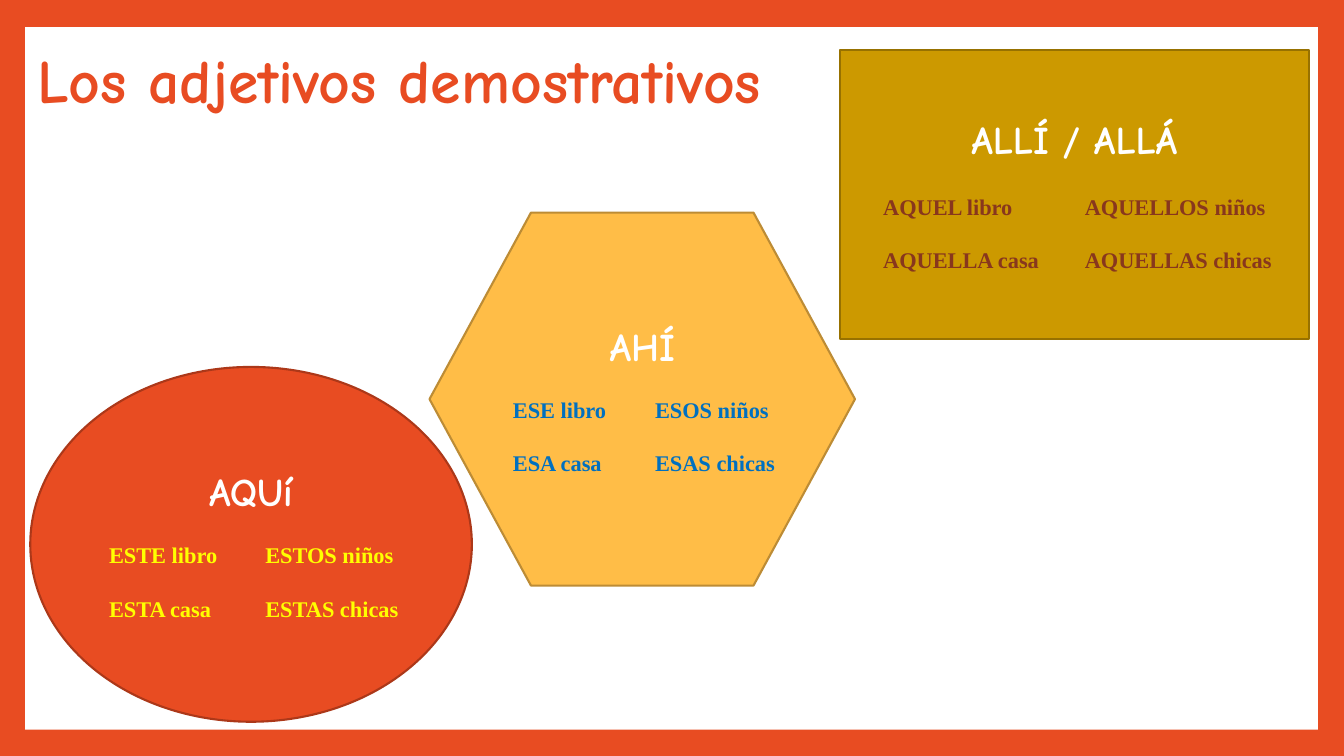
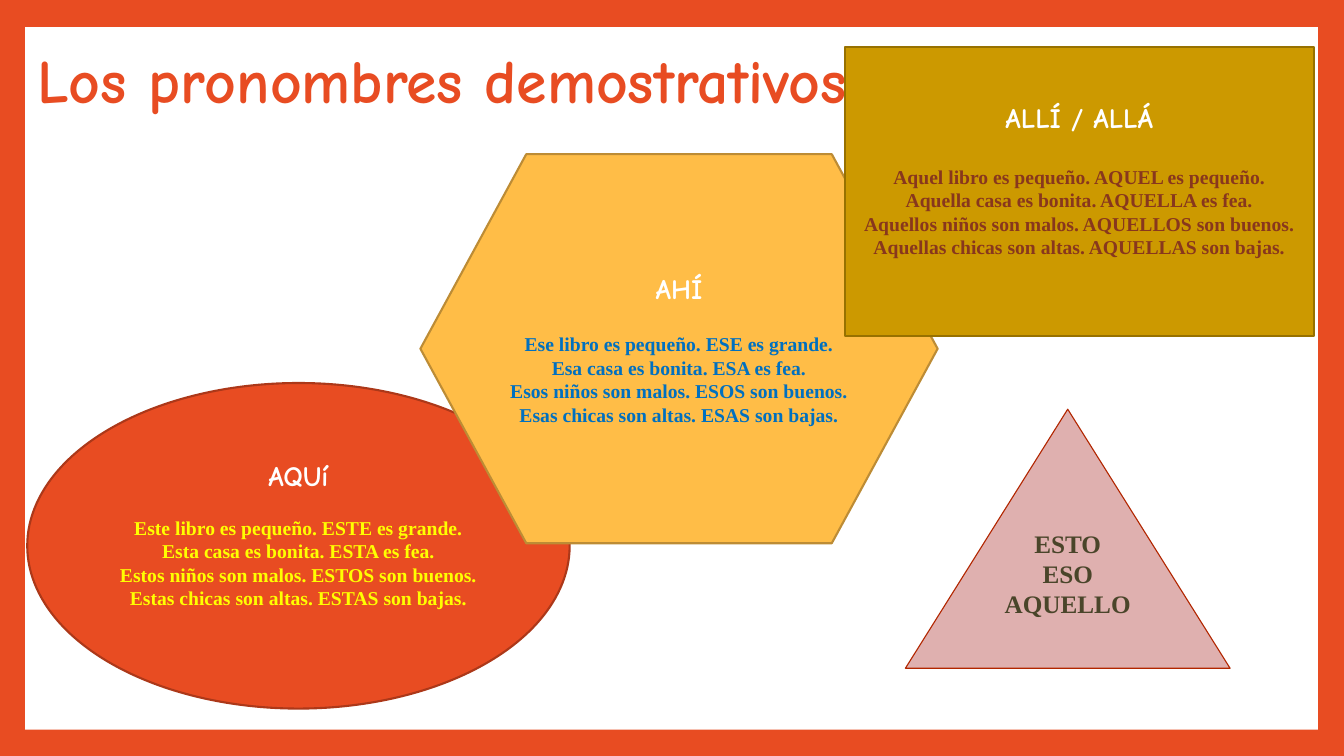
from lxml import etree
from pptx import Presentation
from pptx.dml.color import RGBColor
from pptx.enum.shapes import MSO_SHAPE
from pptx.enum.text import MSO_ANCHOR, PP_ALIGN
from pptx.oxml.ns import qn
from pptx.util import Inches, Pt

ELLIPSE, HEXAGON = MSO_SHAPE.OVAL, MSO_SHAPE.HEXAGON
RECTANGLE, TRIANGLE = MSO_SHAPE.RECTANGLE, MSO_SHAPE.ISOSCELES_TRIANGLE
MIDDLE, CENTER, LEFT = MSO_ANCHOR.MIDDLE, PP_ALIGN.CENTER, PP_ALIGN.LEFT

# Shared look
ORANGE, WHITE = "E84C22", "FFFFFF"
TITLE_FONT, BODY_FONT = "Comic Neue", "Times New Roman"
PANEL = (0.25, 0.27, 12.82, 6.97)
TITLE_BOX = (0.27, 0.38, 12.76, 0.89)
LINE_HEIGHT = 1.2
INSET = 0.05

# Each place: outline, fill, line colour, line width, text colour
STYLES = {
    "AQUí": (ELLIPSE, ORANGE, "AC3819", 1.5, "FFFF00"),
    "AHÍ": (HEXAGON, "FFBD47", "BD8C35", 1.5, "0070C0"),
    "ALLÍ / ALLÁ": (RECTANGLE, "CC9900", "977100", 1.5, "88371D"),
    "": (TRIANGLE, "DFB0AF", "B22600", 0.79, "4A452A"),
}

# Content: columns are tab stops inside the text area, gap and tail are in points
SLIDES = [
    {"title": "Los adjetivos demostrativos", "heading": 28, "body": 16, "row_gap": 19.2,
     "places": [
         {"name": "AQUí", "box": (0.3, 3.64, 4.38, 3.52), "gap": 19.2, "columns": (0.14, 1.69),
          "lines": [("ESTE libro", "ESTOS niños"), ("ESTA casa", "ESTAS chicas")]},
         {"name": "AHÍ", "box": (4.26, 2.11, 4.22, 3.7), "gap": 19.2, "columns": (0.14, 1.55),
          "lines": [("ESE libro", "ESOS niños"), ("ESA casa", "ESAS chicas")]},
         {"name": "ALLÍ / ALLÁ", "box": (8.33, 0.5, 4.65, 2.86), "gap": 21.6,
          "columns": (0.43, 2.43),
          "lines": [("AQUEL libro", "AQUELLOS niños"), ("AQUELLA casa", "AQUELLAS chicas")]},
     ]},
    {"title": "Los pronombres demostrativos", "heading": 20, "body": 14, "row_gap": 0,
     "places": [
         {"name": "AQUí", "box": (0.27, 3.8, 5.38, 3.23), "gap": 16.8, "tail": 16.8,
          "lines": ["Este libro es pequeño. ESTE es grande.",
                    "Esta casa es bonita. ESTA es fea.",
                    "Estos niños son malos. ESTOS son buenos.",
                    "Estas chicas son altas. ESTAS son bajas."]},
         {"name": "AHÍ", "box": (4.17, 1.53, 5.13, 3.86), "gap": 19.2,
          "lines": ["Ese libro es pequeño. ESE es grande.",
                    "Esa casa es bonita. ESA es fea.",
                    "Esos niños son malos. ESOS son buenos.",
                    "Esas chicas son altas. ESAS son bajas."]},
         {"name": "ALLÍ / ALLÁ", "box": (8.38, 0.47, 4.65, 2.86), "gap": 21.6, "tail": 16.8,
          "lines": ["Aquel libro es pequeño. AQUEL es pequeño.",
                    "Aquella casa es bonita. AQUELLA es fea.",
                    "Aquellos niños son malos. AQUELLOS son buenos.",
                    "Aquellas chicas son altas. AQUELLAS son bajas."]},
         {"name": "", "box": (8.98, 4.06, 3.22, 2.57), "body": 18, "tail": 43.2,
          "lines": ["ESTO", "ESO", "AQUELLO"]},
     ]},
]


def color(value):
    return RGBColor.from_string(value)


def write(paragraph, text, size, font, text_color, alignment=CENTER):
    paragraph.text = text
    paragraph.alignment = alignment
    for run in paragraph.runs:
        run.font.size, run.font.name, run.font.bold = Pt(size), font, True
        run.font.color.rgb = color(text_color)


def set_tabs(paragraph, positions):
    tabs = etree.SubElement(paragraph._p.get_or_add_pPr(), qn("a:tabLst"))
    for position in positions:
        etree.SubElement(tabs, qn("a:tab"), pos=str(Inches(position)), algn="l")


def add_filled(slide, outline, box, fill, line=None, width=0):
    shape = slide.shapes.add_shape(outline, *map(Inches, box))
    shape.shadow.inherit = False
    shape.fill.solid()
    shape.fill.fore_color.rgb = color(fill)
    if line:
        shape.line.color.rgb = color(line)
        shape.line.width = Pt(width)
    else:
        shape.line.fill.background()
    return shape


def add_base(presentation, title):
    """Add a slide with the orange frame, white panel and title."""
    slide = presentation.slides.add_slide(presentation.slide_layouts[6])
    slide.background.fill.solid()
    slide.background.fill.fore_color.rgb = color(ORANGE)
    add_filled(slide, RECTANGLE, PANEL, WHITE)
    frame = slide.shapes.add_textbox(*map(Inches, TITLE_BOX)).text_frame
    frame.word_wrap, frame.vertical_anchor = True, MIDDLE
    write(frame.paragraphs[0], title, 44, TITLE_FONT, ORANGE, LEFT)
    frame.paragraphs[0].line_spacing = 0.9
    return slide


def add_place(slide, place, heading_size, body_size, row_gap):
    outline, fill, line, width, text_color = STYLES[place["name"]]
    shape = add_filled(slide, outline, place["box"], fill, line, width)
    if outline == HEXAGON:
        shape.adjustments[0] = 0.272
    frame = shape.text_frame
    frame.word_wrap, frame.vertical_anchor = True, MIDDLE
    frame.margin_left = frame.margin_right = 0
    frame.margin_top = Inches(INSET)
    frame.margin_bottom = Inches(INSET) + Pt(place.get("tail", 0))

    paragraph = frame.paragraphs[0]
    if place["name"]:
        write(paragraph, place["name"], heading_size, TITLE_FONT, WHITE)

    # Body lines, in two tabbed columns where columns are given
    columns = place.get("columns")
    for index, content in enumerate(place["lines"]):
        if index or place["name"]:
            paragraph = frame.add_paragraph()
            paragraph.space_before = Pt(row_gap if index else place["gap"])
        text = "".join("\t" + cell for cell in content) if columns else content
        write(paragraph, text, body_size, BODY_FONT, text_color, LEFT if columns else CENTER)
        paragraph.line_spacing = Pt(body_size * LINE_HEIGHT)
        if columns:
            set_tabs(paragraph, columns)


def main():
    presentation = Presentation()
    presentation.slide_width, presentation.slide_height = Inches(13.33), Inches(7.5)
    for content in SLIDES:
        slide = add_base(presentation, content["title"])
        for place in content["places"]:
            body_size = place.get("body", content["body"])
            add_place(slide, place, content["heading"], body_size, content["row_gap"])
    presentation.save("out.pptx")


if __name__ == "__main__":
    main()
